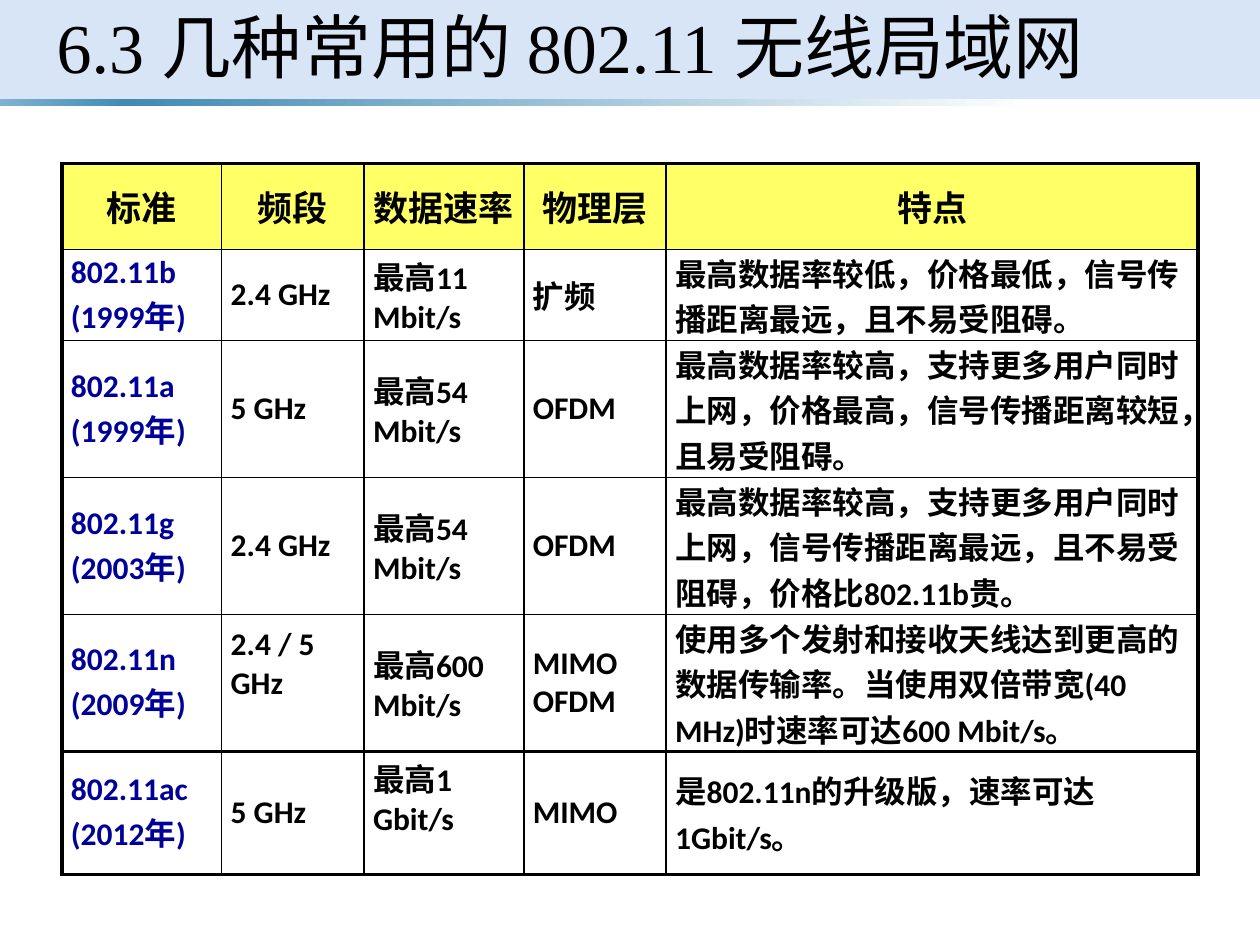
"""Build the slide that compares common 802.11 wireless LAN standards."""
from lxml import etree
from pptx import Presentation
from pptx.dml.color import RGBColor
from pptx.enum.shapes import MSO_SHAPE
from pptx.enum.text import MSO_ANCHOR, MSO_AUTO_SIZE, PP_ALIGN
from pptx.oxml import parse_xml
from pptx.oxml.ns import qn
from pptx.util import Cm, Pt

RECT = MSO_SHAPE.RECTANGLE
MIDDLE = MSO_ANCHOR.MIDDLE
NO_FIT = MSO_AUTO_SIZE.NONE
LEFT, CENTER = PP_ALIGN.LEFT, PP_ALIGN.CENTER
BLACK = RGBColor(0, 0, 0)
NAVY = RGBColor(0, 0, 0x99)
YELLOW = RGBColor(0xFF, 0xFF, 0x66)
PALE = RGBColor(0xC8, 0xDA, 0xF4)
A_NS = "http://schemas.openxmlformats.org/drawingml/2006/main"

TITLE = "6.3 几种常用的 802.11 无线局域网"
HEAD = ["标准", "频段", "数据速率", "物理层", "特点"]
ROWS = [
    ["802.11b\n(1999年)", "2.4 GHz", "最高11 Mbit/s", "扩频",
     "最高数据率较低，价格最低，信号传播距离最远，且不易受阻碍。"],
    ["802.11a\n(1999年)", "5 GHz", "最高54 Mbit/s", "OFDM",
     "最高数据率较高，支持更多用户同时上网，价格最高，信号传播距离较短，且易受阻碍。"],
    ["802.11g\n(2003年)", "2.4 GHz", "最高54 Mbit/s", "OFDM",
     "最高数据率较高，支持更多用户同时上网，信号传播距离最远，且不易受阻碍，价格比802.11b贵。"],
    ["802.11n\n(2009年)", "2.4 / 5 GHz", "最高600 Mbit/s", "MIMO\nOFDM",
     "使用多个发射和接收天线达到更高的数据传输率。当使用双倍带宽(40 MHz)时速率可达600 Mbit/s。"],
    ["802.11ac\n(2012年)", "5 GHz", "最高1 Gbit/s", "MIMO",
     "是802.11n的升级版，速率可达1Gbit/s。"],
]
WIDTHS = [3.22, 2.87, 3.22, 2.87, 10.72]
HEIGHTS = [1.73, 1.83, 2.76, 2.76, 2.74, 2.48]
RAISED = {(4, 1): 0.76, (5, 2): 0.64}
THICK_X, THICK_Y = {0, 5}, {0, 5, 6}
STOPS = [(0, "7EB3D0"), (10, "418AB3"), (82, "FFFFFF"), (96, "FFFFFF")]

TITLE_FONT = {"name": "Times New Roman", "size": Pt(40), "bold": False}
HEAD_FONT = {"name": "Calibri", "size": Pt(20), "bold": True}
BODY_FONT = {**HEAD_FONT, "size": Pt(18)}
INSETS = {"margin_left": Cm(0.18), "margin_right": Cm(0.18),
          "margin_top": 0, "margin_bottom": 0, "vertical_anchor": MIDDLE}


def apply(thing, values):
    for name, value in values.items():
        setattr(thing, name, value)


def style(frame, values, color, align):
    for para in frame.paragraphs:
        para.alignment = align
        for run in para.runs:
            apply(run.font, values)
            run.font.color.rgb = color


def add_band(slide, top, height):
    band = slide.shapes.add_shape(RECT, 0, Cm(top), Cm(25.4), Cm(height))
    band.shadow.inherit = False
    band.line.fill.background()
    band.fill.solid()
    band.fill.fore_color.rgb = PALE
    return band


def add_bands(slide):
    header = add_band(slide, 0, 2)
    color = header.element.spPr.find(qn("a:solidFill"))[0]
    etree.SubElement(color, qn("a:alpha"), val="70000")
    stripe = add_band(slide, 2, 0.13)
    stops = "".join(f'<a:gs pos="{pos * 1000}"><a:srgbClr val="{rgb}"/></a:gs>'
                    for pos, rgb in STOPS)
    props = stripe.element.spPr
    props.replace(props.find(qn("a:solidFill")), parse_xml(
        f'<a:gradFill xmlns:a="{A_NS}"><a:gsLst>{stops}</a:gsLst>'
        '<a:lin ang="0" scaled="0"/></a:gradFill>'))


def add_title(slide):
    title = slide.shapes.title
    apply(title, {"left": Cm(0.89), "top": 0,
                  "width": Cm(23.62), "height": Cm(2.06)})
    frame = title.text_frame
    frame.text = TITLE
    apply(frame, {"auto_size": NO_FIT, "vertical_anchor": MIDDLE,
                  "word_wrap": True})
    frame.paragraphs[0].line_spacing = 0.9
    style(frame, TITLE_FONT, BLACK, LEFT)
    slide.shapes.element.append(title.element)


def add_borders(cell, row, col):
    props = cell._tc.get_or_add_tcPr()
    sides = {"L": col in THICK_X, "R": col + 1 in THICK_X,
             "T": row in THICK_Y, "B": row + 1 in THICK_Y}
    for side, thick in sides.items():
        line = etree.SubElement(props, qn(f"a:ln{side}"),
                                w=str(Pt(2.25 if thick else 1)))
        fill = etree.SubElement(line, qn("a:solidFill"))
        etree.SubElement(fill, qn("a:srgbClr"), val=str(BLACK))


def fill_cell(cell, row, col, text):
    cell.text = text
    apply(cell, INSETS)
    if (row, col) in RAISED:
        cell.margin_bottom = Cm(RAISED[row, col])
    add_borders(cell, row, col)
    if row == 0:
        cell.fill.solid()
        cell.fill.fore_color.rgb = YELLOW
        style(cell.text_frame, HEAD_FONT, BLACK, CENTER)
    else:
        cell.fill.background()
        style(cell.text_frame, BODY_FONT, BLACK if col else NAVY, LEFT)


def add_grid(slide):
    data = [HEAD] + ROWS
    table = slide.shapes.add_table(
        len(data), len(HEAD), Cm(1.25), Cm(3.3),
        Cm(sum(WIDTHS)), Cm(sum(HEIGHTS))).table
    apply(table, {"first_row": False, "horz_banding": False})
    for column, width in zip(table.columns, WIDTHS):
        column.width = Cm(width)
    for line, height in zip(table.rows, HEIGHTS):
        line.height = Cm(height)
    for row, texts in enumerate(data):
        for col, text in enumerate(texts):
            fill_cell(table.cell(row, col), row, col, text)


def main():
    deck = Presentation()
    apply(deck, {"slide_width": Cm(25.4), "slide_height": Cm(19.05)})
    slide = deck.slides.add_slide(deck.slide_layouts[5])
    add_bands(slide)
    add_title(slide)
    add_grid(slide)
    deck.save("out.pptx")


if __name__ == "__main__":
    main()
